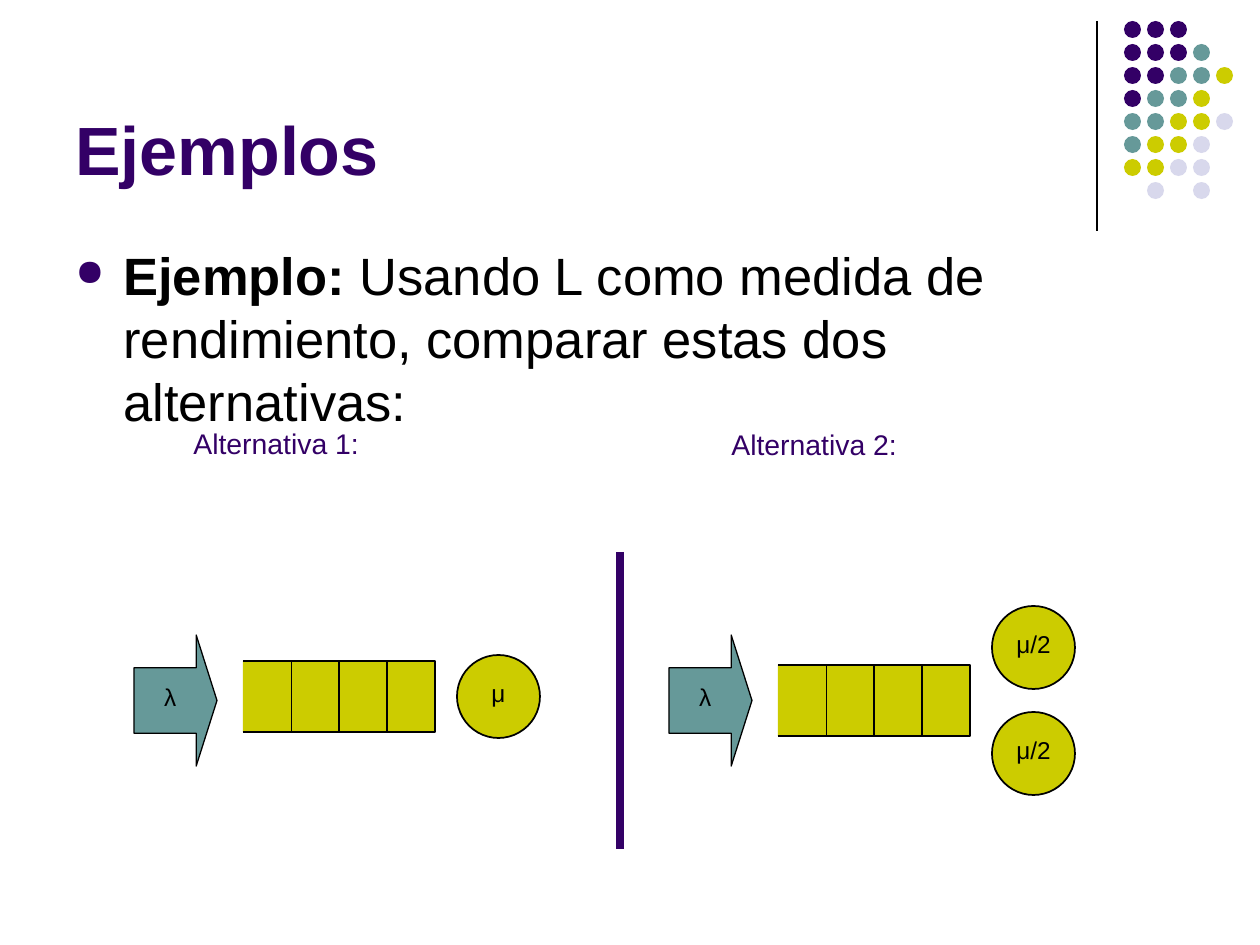
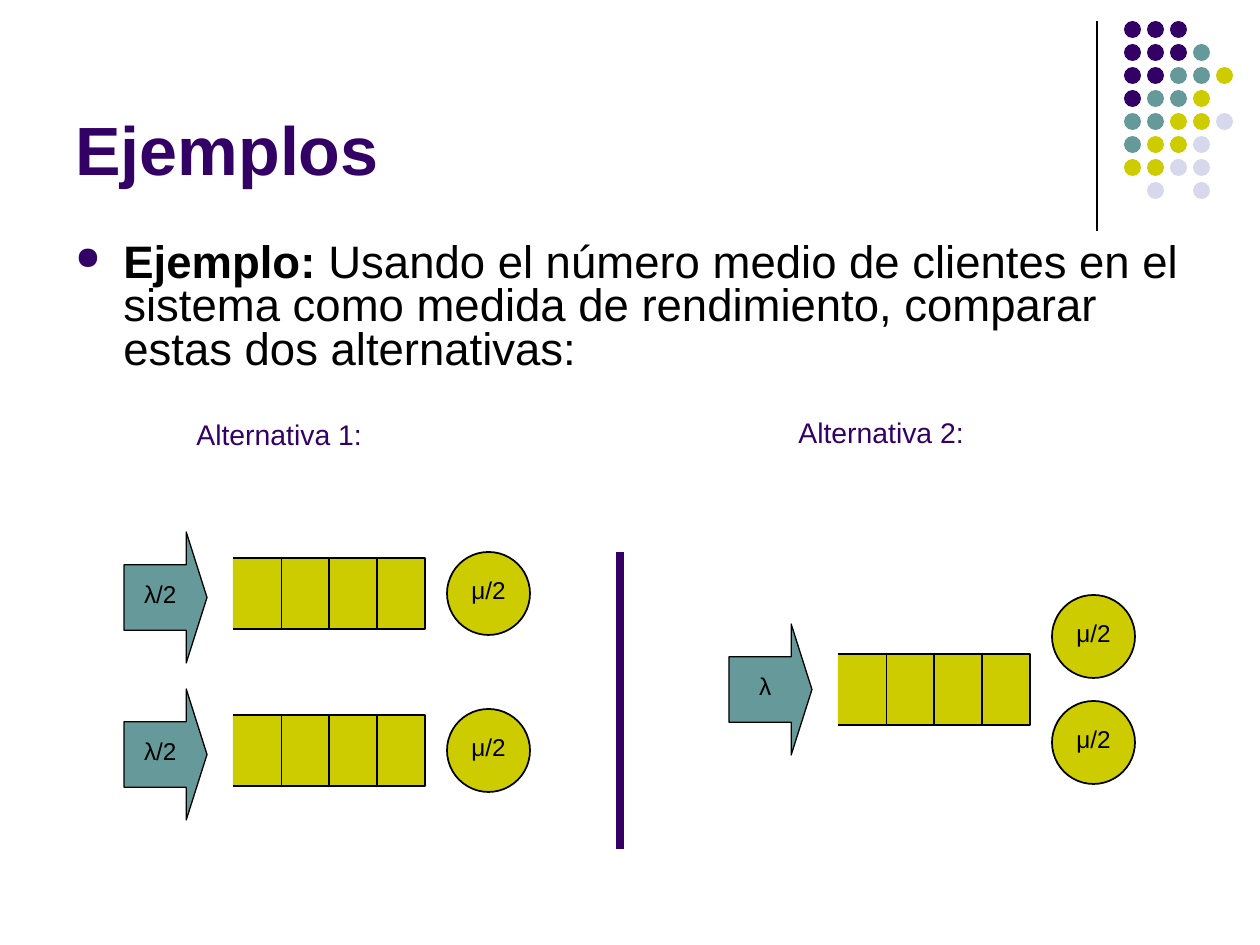
from pptx import Presentation, util as u
from pptx.dml.color import RGBColor
from pptx.enum import shapes, text
from pptx.oxml import parse_xml
from pptx.oxml.ns import nsdecls

PX = 914400 // 126
FONT = "Arial"
PURPLE, TEAL, LIME, PALE, BLACK = "330066", "669999", "CCCC00", "D8D8EC", "000000"
DOT_COLOURS = {"P": PURPLE, "T": TEAL, "L": LIME, "G": PALE}
DOT_ROWS = ["PPP", "PPPT", "PPTTL", "PTTL", "TTLLG", "TLLG", "LLGG", " G G"]
DOT_LEFT, DOT_TOP, DOT_PITCH, DOT_SIZE = 1124, 21, 23, 17
ARROW_WIDTH, ARROW_HEIGHT = 83, 131
CELL_WIDTH, CELL_HEIGHT, CELL_COUNT = 48, 71, 4
QUEUE_OFFSET, SERVER_OFFSET, SERVER_SIZE = 109, 323, 83
RAISED = "25000"

# Systems: arrow left, arrow top, arrival rate, service rate, number of servers
SLIDES = [
    dict(size=30, spacing=None,
         body=" Usando L como medida de rendimiento, comparar estas dos alternativas:",
         labels=[("Alternativa 1:", 181, 412), ("Alternativa 2:", 719, 413)],
         systems=[(134, 635, "λ", "μ", 1), (669, 635, "λ", "μ/2", 2)]),
    dict(size=26, spacing=0.8,
         body=" Usando el número medio de clientes en el sistema como medida de "
              "rendimiento, comparar estas dos alternativas:",
         labels=[("Alternativa 1:", 184, 403), ("Alternativa 2:", 786, 401)],
         systems=[(124, 532, "λ/2", "μ/2", 1), (124, 689, "λ/2", "μ/2", 1),
                  (729, 624, "λ", "μ/2", 2)]),
]


def rgb(colour):
    """Turn a hex string into a colour."""
    return RGBColor.from_string(colour)


def draw(parent, kind, left, top, width, height, fill=None, line=None, weight=1,
         words="", size=24, colour=BLACK, bold=False, raised=False):
    """Add a line, a text box or a preset shape, in pixels, with its text."""
    left, top, width, height = (PX * n for n in (left, top, width, height))
    if kind == "line":
        item = parent.add_connector(shapes.MSO_CONNECTOR.STRAIGHT, left, top,
                                    left + width, top + height)
        item._element.spPr.append(parse_xml("<a:effectLst %s/>" % nsdecls("a")))
        item.line.color.rgb = rgb(line)
        item.line.width = u.Pt(weight)
        return item
    if kind == "text":
        item = parent.add_textbox(left, top, width, height)
    else:
        item = parent.add_shape(kind, left, top, width, height)
        item.shadow.inherit = False
        item.fill.solid()
        item.fill.fore_color.rgb = rgb(fill)
        if line:
            item.line.color.rgb = rgb(line)
            item.line.width = u.Pt(weight)
        else:
            item.line.fill.background()
    if words:
        frame = item.text_frame
        frame.word_wrap = False
        frame.text = words
        if kind != "text":
            frame.vertical_anchor = text.MSO_ANCHOR.MIDDLE
            frame.paragraphs[0].alignment = text.PP_ALIGN.CENTER
        span = frame.paragraphs[0].runs[0]
        span.font.name, span.font.size, span.font.bold = FONT, u.Pt(size), bold
        span.font.color.rgb = rgb(colour)
        if raised:
            span._r.get_or_add_rPr().set("baseline", RAISED)
    return item


preset = shapes.MSO_SHAPE
deck = Presentation()
deck.slide_width, deck.slide_height = u.Inches(10), u.Inches(7.5)

for content in SLIDES:
    page = deck.slides.add_slide(deck.slide_layouts[6])

    # Shared corner: thin rule and dot pattern
    draw(page.shapes, "line", 1097, 21, 0, 210, line=BLACK, weight=0.75)
    dots = page.shapes.add_group_shape().shapes
    for row, pattern in enumerate(DOT_ROWS):
        for column, letter in enumerate(pattern):
            if letter in DOT_COLOURS:
                draw(dots, preset.OVAL, DOT_LEFT + column * DOT_PITCH,
                     DOT_TOP + row * DOT_PITCH, DOT_SIZE, DOT_SIZE,
                     fill=DOT_COLOURS[letter])

    title = draw(page.shapes, "text", 63, 16, 1040, 179, words="Ejemplos",
                 size=39, colour=PURPLE, bold=True)
    title.text_frame.word_wrap = True
    title.text_frame.vertical_anchor = text.MSO_ANCHOR.BOTTOM

    # Bulleted statement
    body = draw(page.shapes, "text", 63, 237, 1134, 146, words="Ejemplo:",
                size=content["size"], bold=True)
    body.text_frame.word_wrap = True
    para = body.text_frame.paragraphs[0]
    para.space_before = u.Pt(content["size"] * 0.2)
    para.line_spacing = content["spacing"]
    span = para.add_run()
    span.text = content["body"]
    span.font.name, span.font.size, span.font.bold = FONT, u.Pt(content["size"]), False
    span.font.color.rgb = rgb(BLACK)
    props = para._p.get_or_add_pPr()
    props.set("marL", str(48 * PX))
    props.set("indent", str(-48 * PX))
    for bullet in ('<a:buClr %s><a:srgbClr val="' + PURPLE + '"/></a:buClr>',
                   '<a:buSzPct %s val="70000"/>', '<a:buChar %s char="●"/>'):
        props.append(parse_xml(bullet % nsdecls("a")))

    # Queueing systems: arrival arrow, waiting line, servers
    for left, top, arrival, service, servers in content["systems"]:
        system = page.shapes.add_group_shape().shapes
        arrow = draw(system, preset.RIGHT_ARROW, left, top, ARROW_WIDTH, ARROW_HEIGHT,
                     TEAL, BLACK, 0.75, words=arrival, raised=True)
        arrow.adjustments[0], arrow.adjustments[1] = 0.5, 0.25
        queue_left = left + QUEUE_OFFSET
        queue_top = top + (26 if servers == 1 else 30)
        for cell in reversed(range(CELL_COUNT)):
            draw(system, preset.RECTANGLE, queue_left + cell * CELL_WIDTH, queue_top,
                 CELL_WIDTH, CELL_HEIGHT, LIME, BLACK if cell else None)
        for edge in (queue_top, queue_top + CELL_HEIGHT):
            draw(system, "line", queue_left, edge, CELL_WIDTH, 0, line=BLACK)
        for offset in ([20] if servers == 1 else [-29, 77]):
            draw(system, preset.OVAL, left + SERVER_OFFSET, top + offset, SERVER_SIZE,
                 SERVER_SIZE, LIME, BLACK, words=service, raised=True)

    draw(page.shapes, "line", 620, 552, 0, 297, line=PURPLE, weight=5)
    for words, left, top in content["labels"]:
        draw(page.shapes, "text", left, top, 311, 72, words=words, size=28,
             colour=PURPLE, raised=True)

deck.save("out.pptx")
